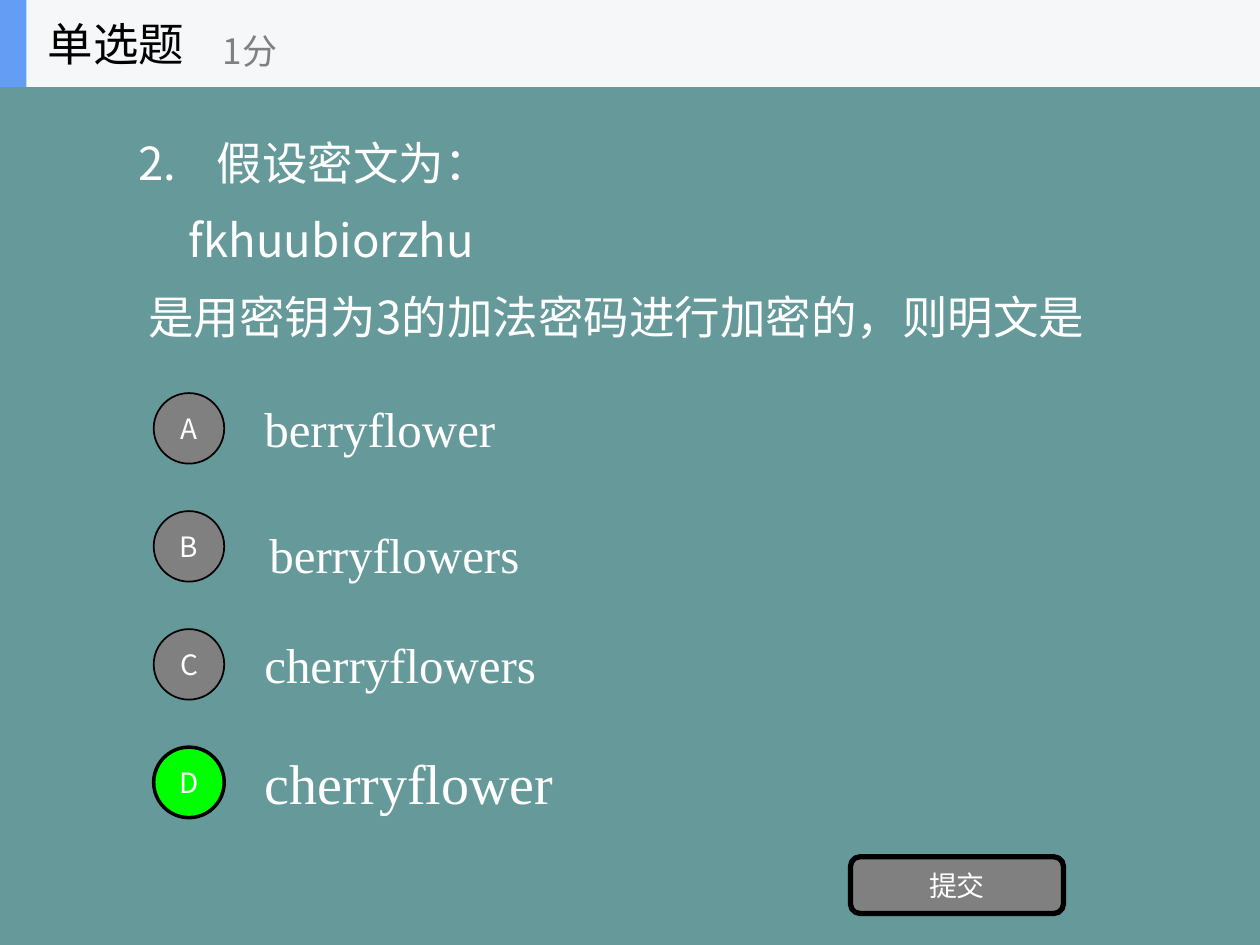
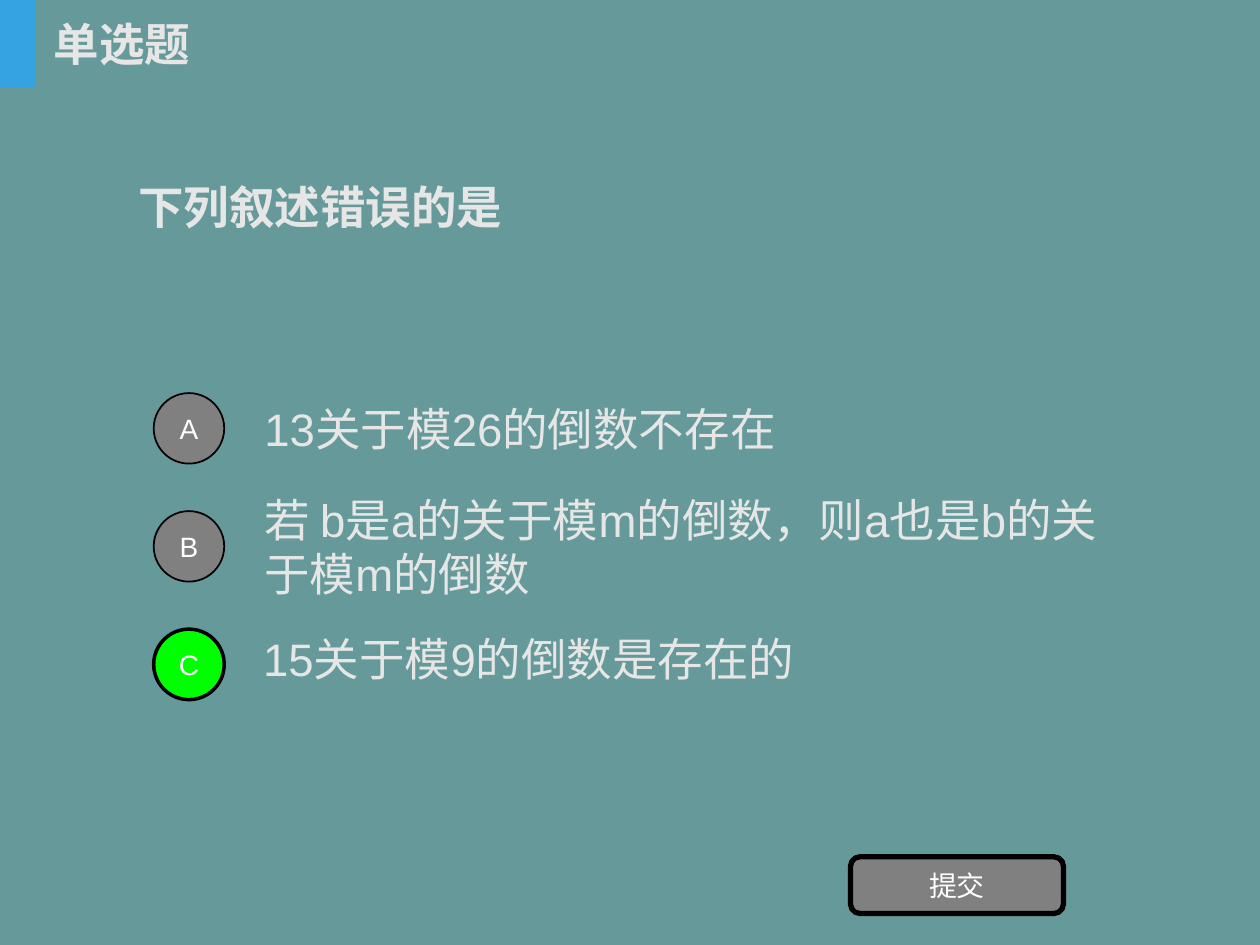
from dataclasses import dataclass

from lxml import etree
from pptx import Presentation
from pptx import util as u
from pptx.dml.color import RGBColor
from pptx.enum import shapes, text
from pptx.oxml import ns


@dataclass(frozen=True)
class Theme:
    # colours
    back: str = "669999"
    band: str = "F6F7F8"
    white: str = "FFFFFF"
    pale: str = "E6E6E6"
    black: str = "000000"
    grey: str = "808080"
    right: str = "00FF00"
    # fonts and sizes
    cjk: str = "Noto Sans CJK SC"
    sans: str = "Arial"
    serif: str = "Times New Roman"
    body: int = 26
    answer: int = 28
    points: int = 20
    label: int = 16


T = Theme()
SHAPE = shapes.MSO_SHAPE
BAR_H = 0.69
ROW_PITCH = (5.93 - 3.12) / 3
OPTIONS_BOX = (1.22, 3.05, 7.78, 0.7)  # first answer row
SUBMIT_BOX = (6.75, 6.8, 1.69, 0.45)


def inches(box):
    return [u.Inches(v) for v in box]


def add_paragraph(tf, words, size, font, color, bold=False, center=False,
                  left=0, first=0):
    """Add one paragraph; left and first are its indents in inches."""
    p = tf.paragraphs[0] if not tf.paragraphs[0].runs else tf.add_paragraph()
    p.alignment = text.PP_ALIGN.CENTER if center else text.PP_ALIGN.LEFT
    ppr = p._p.get_or_add_pPr()
    ppr.set("marL", str(u.Inches(left)))
    ppr.set("indent", str(u.Inches(first)))
    before = etree.SubElement(ppr, ns.qn("a:spcBef"))
    etree.SubElement(before, ns.qn("a:spcPct"), val="50000")
    r = p.add_run()
    r.text = words
    r.font.size, r.font.name, r.font.bold = u.Pt(size), font, bold
    r.font.color.rgb = RGBColor.from_string(color)
    latin = r._r.rPr.find(ns.qn("a:latin"))
    latin.addnext(latin.makeelement(ns.qn("a:ea"), {"typeface": T.cjk}))


def add_text(s, box):
    tf = s.shapes.add_textbox(*inches(box)).text_frame
    tf.word_wrap = True
    tf.vertical_anchor = text.MSO_ANCHOR.MIDDLE
    return tf


def add_block(s, kind, box, fill, line=0):
    sp = s.shapes.add_shape(kind, *inches(box))
    sp.shadow.inherit = False
    sp.fill.solid()
    sp.fill.fore_color.rgb = RGBColor.from_string(fill)
    if line:
        sp.line.color.rgb = RGBColor.from_string(T.black)
        sp.line.width = u.Pt(line)
    else:
        sp.line.fill.background()
    return sp


def add_button(s, kind, box, words, font, fill=T.grey, line=1):
    tf = add_block(s, kind, box, fill, line).text_frame
    tf.vertical_anchor = text.MSO_ANCHOR.MIDDLE
    add_paragraph(tf, words, T.label, font, T.white, center=True)


def title_bar(s, box, accent, accent_w, title_x, font, color,
              bold=False, points=None):
    """Accent block and question type; a scored question also has a band."""
    x, y, w, h = box
    if points:
        add_block(s, SHAPE.RECTANGLE, box, T.band)
    add_block(s, SHAPE.RECTANGLE, (x, y, accent_w, h), accent)
    tf = add_text(s, (x + title_x, y, 1.39, h))
    add_paragraph(tf, "单选题", T.body, font, color, bold)
    if points:
        tf = add_text(s, (x + 1.67, y + 0.12, 2.5, 0.56))
        add_paragraph(tf, points, T.points, T.cjk, T.grey)


def option_list(s, box, options, correct, label_font, font, color):
    """Rows of lettered circle and answer: (words, size, dx, dy)."""
    x, y, w, h = box
    for i, (words, size, dx, dy) in enumerate(options):
        top = y + i * ROW_PITCH
        letter = "ABCD"[i]
        fill, line = (T.right, 2) if letter == correct else (T.grey, 1)
        add_button(s, SHAPE.OVAL, (x, top + 0.07, 0.56, 0.56), letter,
                   label_font, fill, line)
        tf = add_text(s, (x + 0.78 + dx, top + dy, w - 0.78, h))
        add_paragraph(tf, words, size, font, color)


def submit_button(s, box, font):
    add_button(s, SHAPE.ROUNDED_RECTANGLE, box, "提交", font, line=3)


def cipher_slide(s):
    title_bar(s, (0, 0, 10, BAR_H), "639EF4", 0.21, 0.28, T.cjk, T.black,
              points="1分")
    # question
    tf = add_text(s, (1, 0.73, 8.49, 2.34))
    for words, left, first in (
            ("2.\t假设密文为：", 0.62, -0.62),
            ("fkhuubiorzhu", 0.4, 0),
            ("是用密钥为3的加法密码进行加密的，则明文是", 0.08, 0)):
        add_paragraph(tf, words, T.body, T.cjk, T.white,
                      left=left, first=first)
    # answers
    options = [("berryflower", T.answer, 0, 0),
               ("berryflowers", T.answer, 0.04, 0.06),
               ("cherryflowers", T.answer, 0, 0),
               ("cherryflower", 32, 0, 0)]
    option_list(s, OPTIONS_BOX, options, "D", T.cjk, T.serif, T.white)
    submit_button(s, SUBMIT_BOX, T.cjk)


def inverse_slide(s):
    title_bar(s, (0, 0, 10, BAR_H), "36A3E1", 0.28, 0.33, T.sans, T.pale,
              bold=True)
    # question
    tf = add_text(s, (1, 0.47, 8, 2.34))
    add_paragraph(tf, "下列叙述错误的是", T.body, T.sans, T.pale, bold=True)
    # answers
    options = [("13关于模26的倒数不存在", T.body, 0, 0),
               ("若 b是a的关于模m的倒数，则a也是b的关于模m的倒数", T.body, 0, 0),
               ("15关于模9的倒数是存在的", T.body, -0.01, -0.05)]
    option_list(s, OPTIONS_BOX, options, "C", T.sans, T.sans, T.pale)
    submit_button(s, SUBMIT_BOX, T.sans)


def main():
    prs = Presentation()
    prs.slide_width, prs.slide_height = u.Inches(10), u.Inches(7.5)
    back = prs.slide_master.background.fill
    back.solid()
    back.fore_color.rgb = RGBColor.from_string(T.back)
    for build in (cipher_slide, inverse_slide):
        build(prs.slides.add_slide(prs.slide_layouts[6]))
    prs.save("out.pptx")


if __name__ == "__main__":
    main()
